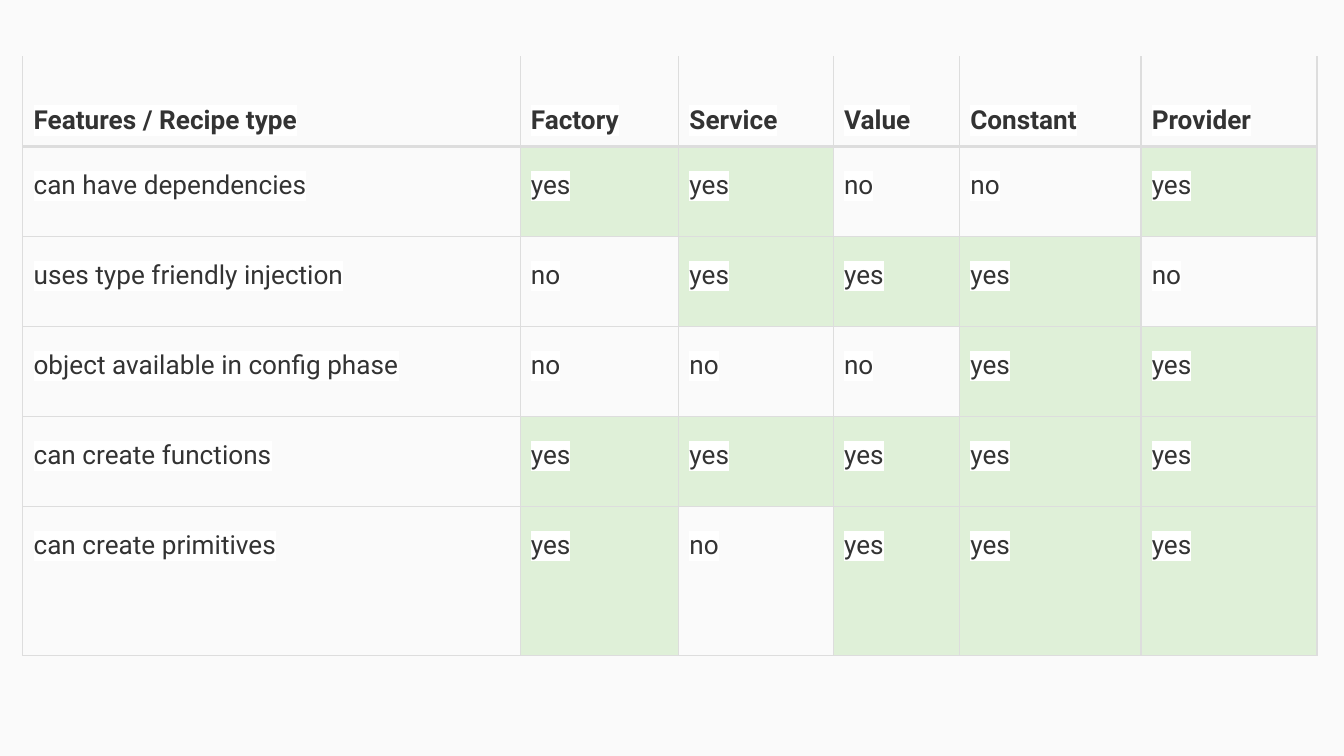
"""Build the recipe comparison slide."""
from lxml.etree import SubElement
from pptx import Presentation
from pptx.dml.color import RGBColor as RGB
from pptx.enum.text import MSO_ANCHOR as Anchor
from pptx.oxml.ns import qn
from pptx.util import Inches, Pt

HEADER = ["Features / Recipe type", "Factory", "Service", "Value", "Constant", "Provider"]
FEATURES = [
    ("can have dependencies", "yes", "yes", "no", "no", "yes"),
    ("uses type friendly injection", "no", "yes", "yes", "yes", "no"),
    ("object available in config phase", "no", "no", "no", "yes", "yes"),
    ("can create functions", "yes", "yes", "yes", "yes", "yes"),
    ("can create primitives", "yes", "no", "yes", "yes", "yes"),
]
COL_WIDTHS = [3.7, 1.18, 1.15, 0.94, 1.35, 1.31]
ROW_HEIGHTS = [0.67] * 5 + [1.11]
LEFT, TOP, INSET = 0.17, 0.42, 0.08
THEME = {
    "font": "Roboto", "size": 14, "line_spacing": 1.43, "space_after": 15,
    "bg": "FAFAFA", "text": "333333", "highlight": "FFFFFF",
    "yes": "DFF0D8", "clear": "FFFFFF", "border": "DDDDDD",
    "thin": 0.75, "thick": 1.5,
}


def add_color(parent, tag, color):
    SubElement(SubElement(parent, qn(tag)), qn("a:srgbClr"), val=color)


def set_borders(cell, widths):
    tc_pr = cell._tc.get_or_add_tcPr()
    for side, width in widths.items():
        ln = SubElement(tc_pr, qn(f"a:ln{side}"), w=str(Pt(width)))
        if width:
            add_color(ln, "a:solidFill", THEME["border"])
        else:
            SubElement(ln, qn("a:noFill"))


def set_fill(cell, is_yes):
    cell.fill.solid()
    cell.fill.fore_color.rgb = RGB.from_string(THEME["yes" if is_yes else "clear"])
    if not is_yes:
        color = cell._tc.tcPr.find(qn("a:solidFill")).find(qn("a:srgbClr"))
        SubElement(color, qn("a:alpha"), val="0")


def write_text(cell, text, bold):
    p = cell.text_frame.paragraphs[0]
    p.line_spacing = THEME["line_spacing"]
    p.space_after = Pt(THEME["space_after"])
    r = p.add_run()
    r.text = text
    r.font.size, r.font.bold = Pt(THEME["size"]), bold
    r.font.color.rgb = RGB.from_string(THEME["text"])
    add_color(r.font._element, "a:highlight", THEME["highlight"])
    r.font.name = THEME["font"]


def style_cell(cell, text, row):
    thin, thick = THEME["thin"], THEME["thick"]
    top = {0: 0, 1: thick}.get(row, thin)
    set_borders(cell, {"L": thin, "R": thin, "T": top, "B": thin if row else thick})
    set_fill(cell, text == "yes")
    cell.margin_left = cell.margin_right = Inches(INSET)
    cell.margin_top = cell.margin_bottom = Inches(INSET)
    cell.vertical_anchor = Anchor.TOP if row else Anchor.BOTTOM
    write_text(cell, text, bold=row == 0)


def main():
    prs = Presentation()
    prs.slide_width = Inches(10)
    prs.slide_height = prs.slide_width * 9 // 16
    s = prs.slides.add_slide(prs.slide_layouts[6])
    s.background.fill.solid()
    s.background.fill.fore_color.rgb = RGB.from_string(THEME["bg"])

    rows = [HEADER, *FEATURES]
    table = s.shapes.add_table(
        len(rows), len(HEADER), Inches(LEFT), Inches(TOP),
        Inches(sum(COL_WIDTHS)), Inches(sum(ROW_HEIGHTS)),
    ).table
    table.first_row = table.horz_banding = False
    for col, width in zip(table.columns, COL_WIDTHS):
        col.width = Inches(width)
    for i, (texts, height) in enumerate(zip(rows, ROW_HEIGHTS)):
        table.rows[i].height = Inches(height)
        for j, text in enumerate(texts):
            style_cell(table.cell(i, j), text, i)
    prs.save("out.pptx")


if __name__ == "__main__":
    main()
